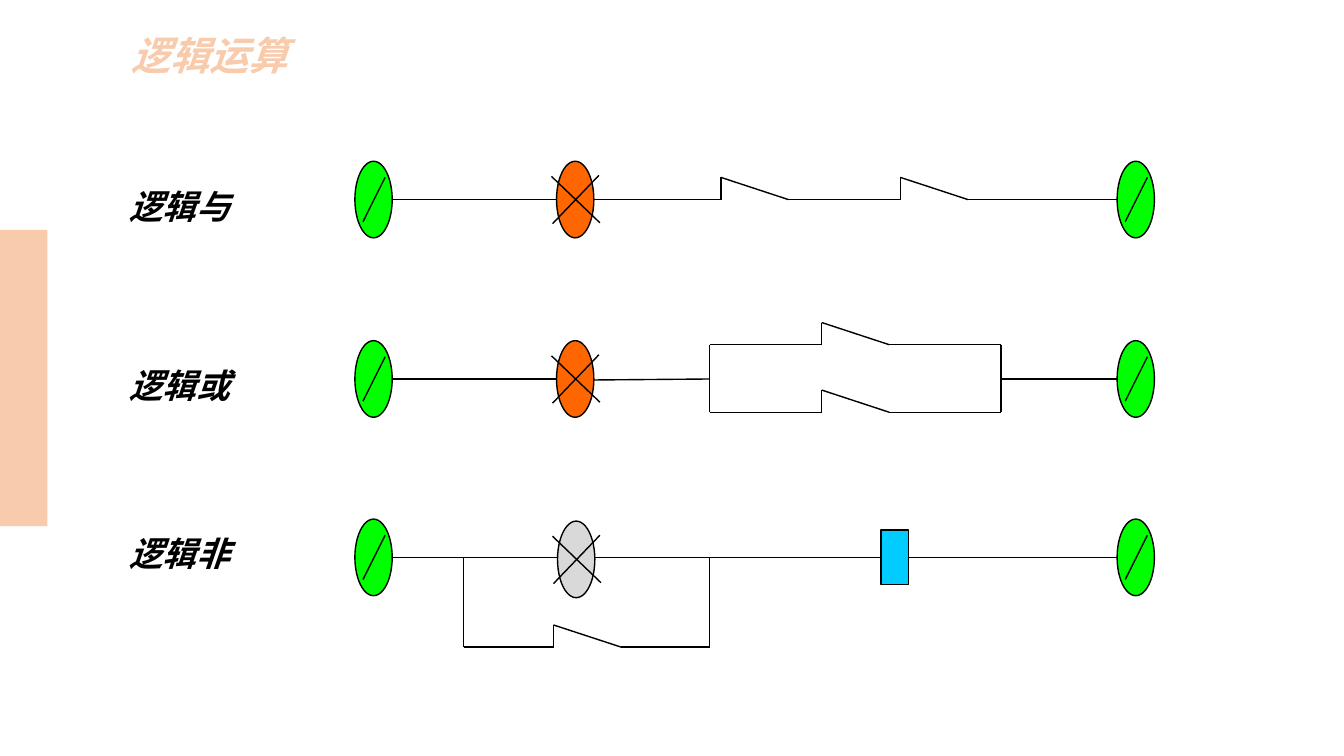
"""Draw the AND, OR and NOT relay circuits on one slide."""
from pptx import Presentation
from pptx import util as u
from pptx.dml.color import RGBColor
from pptx.enum import shapes, text
from pptx.oxml.xmlchemy import OxmlElement

BLACK, PEACH, GREEN = "000000", "F8CBAD", "00FF00"
ORANGE, GREY, CYAN = "FF6600", "D9D9D9", "00CCFF"
LEFT_END, RIGHT_END = 3.82, 11.15
LAMP_LEFT, LAMP_RIGHT = 5.52, 5.89
AND_Y, OR_Y, NOT_Y = 1.98, 3.76, 5.53


def paint(color_format, value):
    color_format.rgb = RGBColor.from_string(value)


def apply_formats(target, formats):
    for name, value in formats.items():
        setattr(target, name, value)


class CircuitSlide:
    line_width = u.Pt(1)
    switch_width, switch_height = 0.67, 0.22
    oval_width, oval_height = 0.37, 0.76
    title_font = dict(name="Noto Sans CJK SC", size=u.Pt(28), bold=True, italic=True)
    label_font = dict(name="Times New Roman", size=u.Pt(24), bold=True, italic=True)
    label_frame = dict(
        word_wrap=False,
        auto_size=text.MSO_AUTO_SIZE.SHAPE_TO_FIT_TEXT,
        vertical_anchor=text.MSO_ANCHOR.MIDDLE,
        margin_left=u.Inches(0.13), margin_right=u.Inches(0.13),
        margin_top=u.Inches(0.07), margin_bottom=u.Inches(0.07),
    )
    title_frame = dict(
        word_wrap=True,
        auto_size=text.MSO_AUTO_SIZE.NONE,
        vertical_anchor=text.MSO_ANCHOR.MIDDLE,
    )

    def __init__(self, deck):
        self.slide = deck.slides.add_slide(deck.slide_layouts[5])

    def put_text(self, frame, wording, frame_formats, font_formats, color):
        apply_formats(frame, frame_formats)
        paragraph = frame.paragraphs[0]
        paragraph.alignment = text.PP_ALIGN.LEFT
        words = paragraph.add_run()
        words.text = wording
        apply_formats(words.font, font_formats)
        paint(words.font.color, color)
        return paragraph

    def title(self, wording, left, top, width, height):
        heading = self.slide.shapes.title
        apply_formats(heading, dict(left=u.Inches(left), top=u.Inches(top),
                                    width=u.Inches(width), height=u.Inches(height)))
        paragraph = self.put_text(heading.text_frame, wording, self.title_frame,
                                  self.title_font, PEACH)
        paragraph.line_spacing = 0.9

    def label(self, wording, top):
        caption = self.slide.shapes.add_textbox(
            u.Inches(1.15), u.Inches(top), u.Inches(1.27), u.Inches(0.54))
        self.put_text(caption.text_frame, wording, self.label_frame,
                      self.label_font, BLACK)

    def block(self, preset, left, top, width, height, color, outlined=True):
        part = self.slide.shapes.add_shape(
            preset, u.Inches(left), u.Inches(top), u.Inches(width), u.Inches(height))
        part.shadow.inherit = False
        part.fill.solid()
        paint(part.fill.fore_color, color)
        if outlined:
            paint(part.line.color, BLACK)
            part.line.width = self.line_width
        else:
            part.line.fill.background()
        return part

    def wire(self, x1, y1, x2, y2):
        link = self.slide.shapes.add_connector(
            shapes.MSO_CONNECTOR.STRAIGHT,
            u.Inches(x1), u.Inches(y1), u.Inches(x2), u.Inches(y2))
        paint(link.line.color, BLACK)
        link.line.width = self.line_width
        link._element.spPr.append(OxmlElement("a:effectLst"))
        return link

    def switched_wire(self, y, left, right, switches=()):
        for x in switches:
            self.wire(left, y, x, y)
            self.wire(x, y - self.switch_height, x, y)
            left = x + self.switch_width
            self.wire(x, y - self.switch_height, left, y)
        return self.wire(left, y, right, y)

    def oval(self, left, y, color):
        self.block(shapes.MSO_SHAPE.OVAL, left, y - self.oval_height / 2,
                   self.oval_width, self.oval_height, color)

    def terminals(self, y):
        for left in (3.52, 11.08):
            self.oval(left, y, GREEN)
            self.wire(left + 0.3, y - 0.22, left + 0.08, y + 0.22)

    def lamp(self, left, y, color):
        self.oval(left, y, color)
        self.wire(left - 0.05, y - 0.23, left + 0.43, y + 0.23)
        self.wire(left - 0.04, y + 0.24, left + 0.42, y - 0.24)


def draw_and(page):
    page.switched_wire(AND_Y, LEFT_END, LAMP_LEFT)
    page.switched_wire(AND_Y, LAMP_RIGHT, RIGHT_END, (7.15, 8.93))
    page.lamp(LAMP_LEFT, AND_Y, ORANGE)
    page.terminals(AND_Y)


def draw_or(page):
    fork, merge, upper, lower = 7.04, 9.93, 3.42, 4.09
    page.switched_wire(OR_Y, LEFT_END, LAMP_LEFT)
    page.wire(LAMP_RIGHT, OR_Y + 0.01, fork, OR_Y)
    page.switched_wire(OR_Y, merge, RIGHT_END)
    for branch_y in (upper, lower):
        page.switched_wire(branch_y, fork, merge, (8.15,))
    for x in (fork, merge):
        page.wire(x, upper, x, lower)
    page.lamp(LAMP_LEFT, OR_Y, ORANGE)
    page.terminals(OR_Y)


def draw_not(page):
    fork, merge, bypass_y = 4.6, 7.04, 6.42
    page.switched_wire(NOT_Y, LEFT_END, LAMP_LEFT)
    coil_feed = page.switched_wire(NOT_Y, LAMP_RIGHT, 8.74)
    coil_return = page.switched_wire(NOT_Y, 9.01, RIGHT_END)
    coil = page.block(shapes.MSO_SHAPE.RECTANGLE, 8.74, 5.26, 0.27, 0.54, CYAN)
    coil_feed.end_connect(coil, 1)
    coil_return.begin_connect(coil, 3)
    page.switched_wire(bypass_y, fork, merge, (5.49,))
    for x in (fork, merge):
        page.wire(x, NOT_Y, x, bypass_y)
    page.terminals(NOT_Y)
    page.lamp(LAMP_LEFT + 0.01, NOT_Y + 0.02, GREY)


def main():
    deck = Presentation()
    apply_formats(deck, dict(slide_width=u.Inches(13.33), slide_height=u.Inches(7.5)))
    page = CircuitSlide(deck)
    page.title("逻辑运算", 1.2, 0.31, 8.67, 0.53)
    for wording, top in (("逻辑与", 1.77), ("逻辑或", 3.55), ("逻辑非", 5.22)):
        page.label(wording, top)
    draw_and(page)
    draw_or(page)
    draw_not(page)
    page.block(shapes.MSO_SHAPE.RECTANGLE, 0, 2.28, 0.47, 2.94, PEACH, outlined=False)
    deck.save("out.pptx")


if __name__ == "__main__":
    main()
